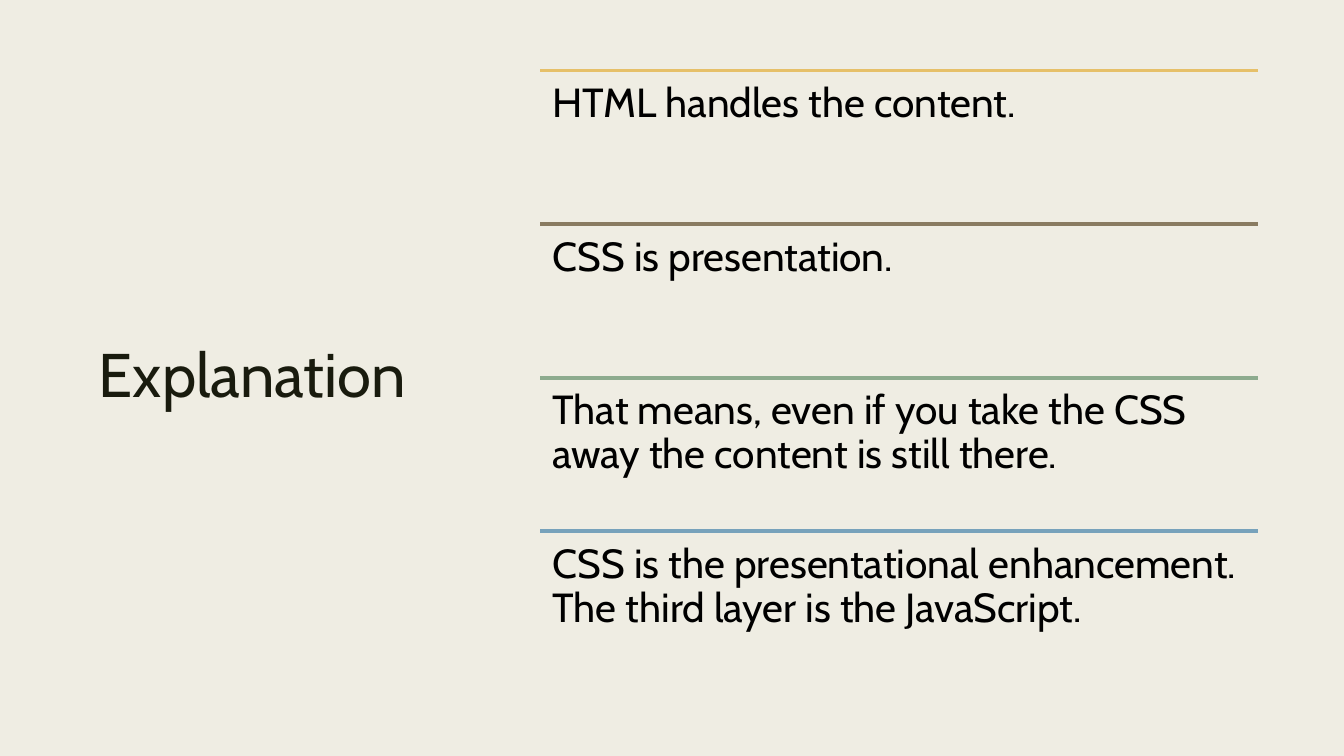
import dataclasses

import pptx
import pptx.dml.color
import pptx.enum.shapes
import pptx.enum.text
import pptx.oxml
import pptx.slide
import pptx.text.text
import pptx.util

Inches = pptx.util.Inches
RGB = pptx.dml.color.RGBColor.from_string

COLORS = {
    "background": "EFEDE3",
    "title": "191B0E",
    "text": "000000",
    "gold": "E6C069",
    "brown": "897B61",
    "green": "8DAB8E",
    "blue": "77A2BB",
}
FONT = "Cabin"
LEFT, TOP, WIDTH, ROW_HEIGHT = 5.36, 0.7, 7.12, 1.524
MARGINS = ("margin_left", "margin_top", "margin_right", "margin_bottom")


@dataclasses.dataclass
class Statement:
    text: str
    color: str


# Non-breaking spaces keep "away the" and "enhancement. The" on one line.
STATEMENTS = [
    Statement("HTML handles the content.", "gold"),
    Statement("CSS is presentation.", "brown"),
    Statement("That means, even if you take the CSS away the content is still there.", "green"),
    Statement("CSS is the presentational enhancement. The third layer is the JavaScript.", "blue"),
]


def set_text(tf: pptx.text.text.TextFrame, text: str, size: float, color: str,
             frame_format: dict, paragraph_format: dict) -> None:
    for name, value in frame_format.items():
        setattr(tf, name, value)
    p = tf.paragraphs[0]
    for name, value in paragraph_format.items():
        setattr(p, name, value)
    r = p.add_run()
    r.text = text
    for name, value in {"name": FONT, "size": pptx.util.Pt(size)}.items():
        setattr(r.font, name, value)
    r.font.color.rgb = RGB(COLORS[color])


def add_title(s: pptx.slide.Slide, text: str) -> None:
    sp = s.shapes.title
    box = {"left": 0.7, "top": 0.7, "width": 3.61, "height": 6.1}
    for name, value in box.items():
        setattr(sp, name, Inches(value))
    set_text(
        sp.text_frame, text, 44, "title",
        {"word_wrap": True,
         "auto_size": pptx.enum.text.MSO_AUTO_SIZE.NONE,
         "vertical_anchor": pptx.enum.text.MSO_ANCHOR.MIDDLE},
        {"alignment": pptx.enum.text.PP_ALIGN.CENTER, "line_spacing": 0.89},
    )


def add_statement(s: pptx.slide.Slide, statement: Statement, top: float) -> None:
    """Draw a coloured rule with its text below."""
    line = s.shapes.add_connector(
        pptx.enum.shapes.MSO_CONNECTOR.STRAIGHT,
        Inches(LEFT), Inches(top), Inches(LEFT + WIDTH), Inches(top))
    line.line.color.rgb = RGB(COLORS[statement.color])
    line.line.width = pptx.util.Pt(2.75)
    line._element.spPr.append(pptx.oxml.parse_xml(
        '<a:effectLst xmlns:a="http://schemas.openxmlformats.org/drawingml/2006/main"/>'))

    box = s.shapes.add_textbox(
        Inches(LEFT), Inches(top), Inches(WIDTH), Inches(ROW_HEIGHT))
    set_text(
        box.text_frame, statement.text, 29, "text",
        {"word_wrap": True, **{name: Inches(0.12) for name in MARGINS}},
        {"line_spacing": 0.9},
    )


def main() -> None:
    prs = pptx.Presentation()
    prs.slide_width, prs.slide_height = Inches(13.33), Inches(7.5)
    s = prs.slides.add_slide(prs.slide_layouts[5])
    s.background.fill.solid()
    s.background.fill.fore_color.rgb = RGB(COLORS["background"])
    add_title(s, "Explanation")
    for i, statement in enumerate(STATEMENTS):
        add_statement(s, statement, TOP + i * ROW_HEIGHT)
    prs.save("out.pptx")


if __name__ == "__main__":
    main()
